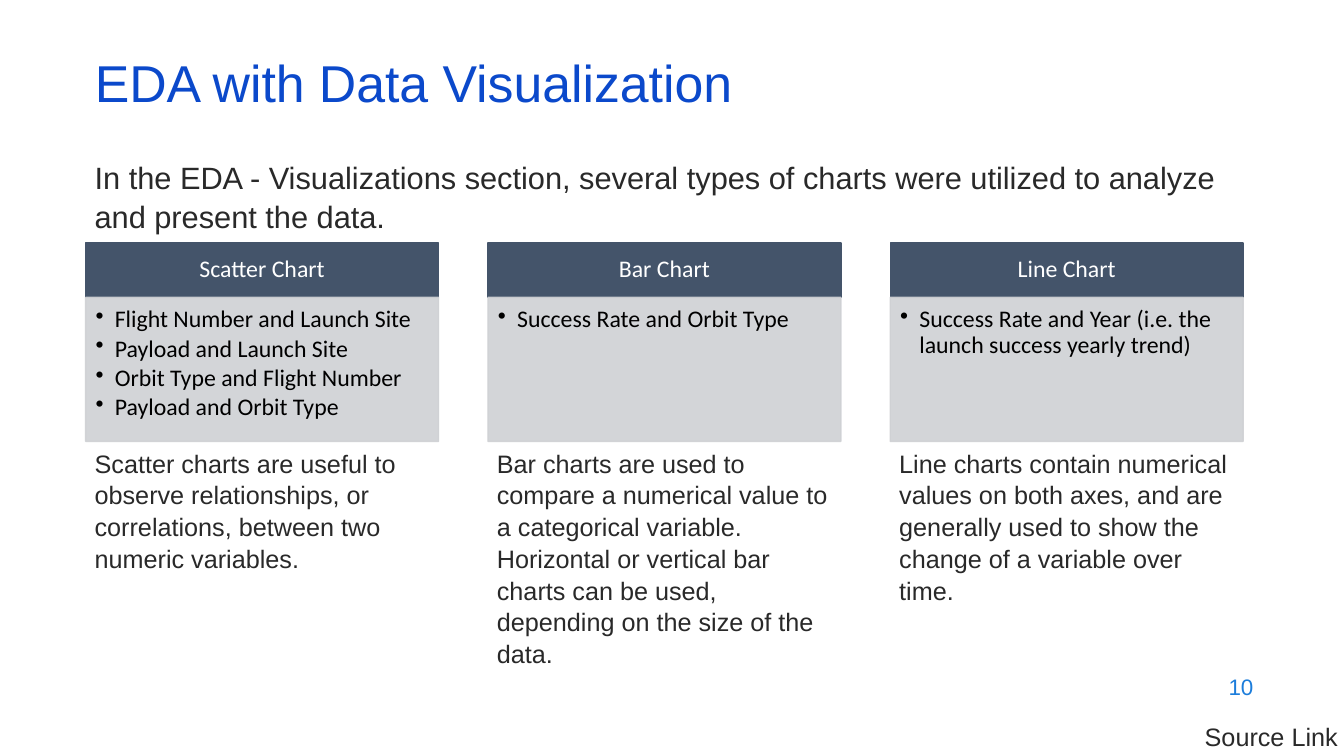
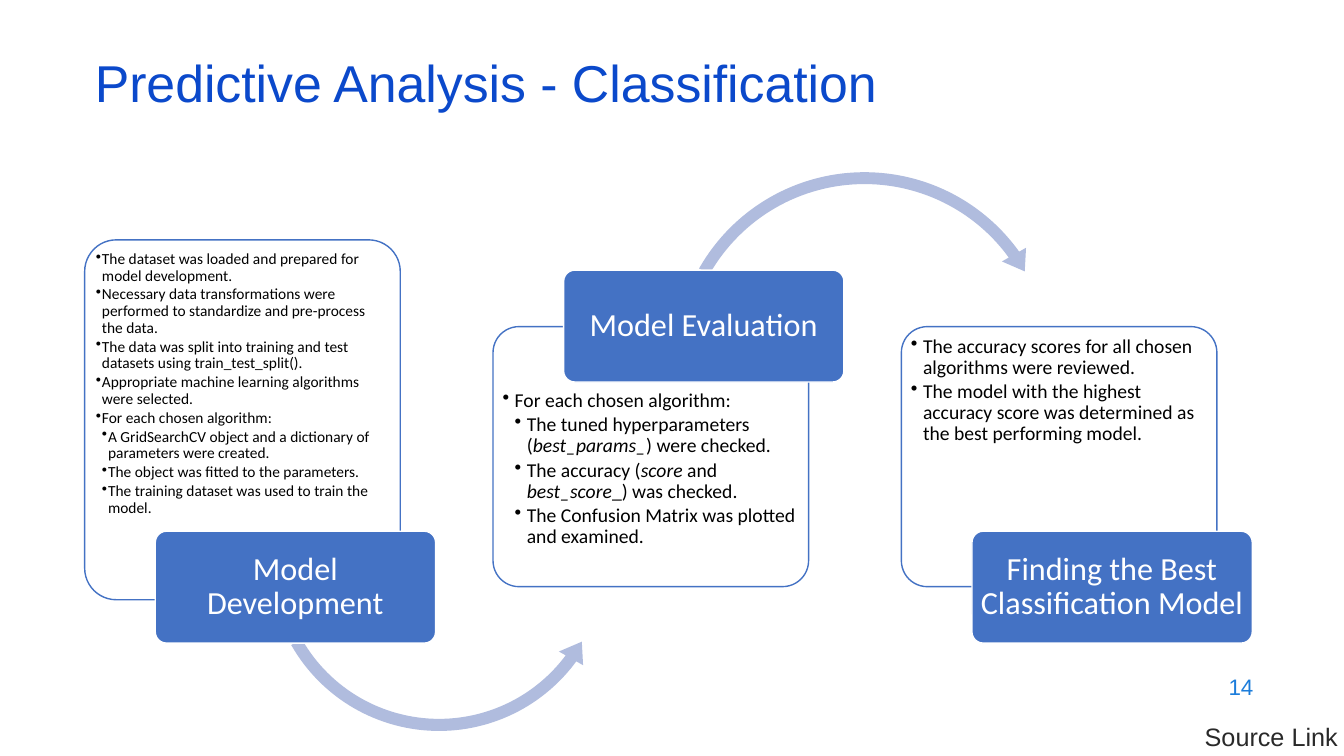
import pptx
import pptx.dml.color
import pptx.enum.shapes
import pptx.enum.text
import pptx.oxml.ns
import pptx.util
from lxml import etree

EMU_PER_PX = 9144
SLIDE_SIZE = (1333, 750)
SHAPES = pptx.enum.shapes.MSO_SHAPE
ALIGN = pptx.enum.text.PP_ALIGN
ANCHOR = pptx.enum.text.MSO_ANCHOR

TITLE_BLUE = "0B49CB"
NUMBER_BLUE = "1C7DDB"
INK = "292929"
BLACK = "000000"
WHITE = "FFFFFF"
SLATE = "44546A"
GREY = "CFD1D4"
BLUE = "4472C4"
PALE_BLUE = "B0BCDE"

HEADING_FONT = "Arial"
DIAGRAM_FONT = "Calibri"
TEXT_MARGINS = (10, 5, 10, 5)
BODY_SPACING = 1.05
DIAGRAM_SPACING = 0.9

CHART_TYPES = [
    ("Scatter Chart",
     ["Flight Number and Launch Site", "Payload and Launch Site",
      "Orbit Type and Flight Number", "Payload and Orbit Type"],
     "Scatter charts are useful to observe relationships, or correlations, "
     "between two numeric variables."),
    ("Bar Chart",
     ["Success Rate and Orbit Type"],
     "Bar charts are used to compare a numerical value to a categorical variable. "
     "Horizontal or vertical bar charts can be used, depending on the size of the data."),
    ("Line Chart",
     ["Success Rate and Year (i.e. the launch success yearly trend)"],
     "Line charts contain numerical values on both axes, and are generally used "
     "to show the change of a variable over time."),
]

# Each step: name, name top, panel top and height, text top margin, size, indent, bullets.
STEPS = [
    ("Model Development", 527, 238, 357, 2, 11, 6, [
        (1, "The dataset was loaded and prepared for model development."),
        (1, "Necessary data transformations were performed to standardize "
            "and pre-process the data."),
        (1, "The data was split into training and test datasets using train_test_split()."),
        (1, "Appropriate machine learning algorithms were selected."),
        (1, "For each chosen algorithm:"),
        (2, "A GridSearchCV object and a dictionary of parameters were created."),
        (2, "The object was fitted to the parameters."),
        (2, "The training dataset was used to train the model."),
    ]),
    ("Model Evaluation", 268, 324, 258, 56, 14, 12, [
        (1, "For each chosen algorithm:"),
        (2, "The tuned hyperparameters (*best_params_*) were checked."),
        (2, "The accuracy (*score* and *best_score*_) was checked."),
        (2, "The Confusion Matrix was plotted and examined."),
    ]),
    ("Finding the Best Classification Model", 527, 324, 258, 2, 14, 12, [
        (1, "The accuracy scores for all chosen algorithms were reviewed."),
        (1, "The model with the highest accuracy score was determined as "
            "the best performing model."),
    ]),
]

# Each arrow: shape, place, then thickness and head in percent, head, tip and tail in degrees.
ARROWS = [
    (SHAPES.LEFT_CIRCULAR_ARROW, (259, 380, 353, 353), 3.4, 3.9, 6.94, 36.46, 150.34),
    (SHAPES.CIRCULAR_ARROW, (661, 163, 393, 393), 3, 3.5, 6.19, 324.22, 209.59),
]


def px(length):
    return pptx.util.Emu(round(length * EMU_PER_PX))


def color(value):
    return pptx.dml.color.RGBColor.from_string(value)


def set_frame(frame, margins=TEXT_MARGINS, anchor=ANCHOR.TOP, wrap=True):
    frame.word_wrap = wrap
    frame.auto_size = pptx.enum.text.MSO_AUTO_SIZE.NONE
    frame.vertical_anchor = anchor
    (frame.margin_left, frame.margin_top,
     frame.margin_right, frame.margin_bottom) = map(px, margins)


def set_font(para, name, size, ink):
    para.font.name = name
    para.font.size = pptx.util.Pt(size)
    para.font.color.rgb = color(ink)


def write_line(frame, text, font, size, ink, align=ALIGN.LEFT, spacing=1.0):
    """Fill a frame with one evenly formatted paragraph."""
    para = frame.paragraphs[0]
    para.text = text
    para.alignment = align
    para.line_spacing = spacing
    set_font(para, font, size, ink)


def write_bullets(frame, items, size, indent):
    """Write (level, text) items; asterisks enclose italic words."""
    for index, (level, text) in enumerate(items):
        para = frame.add_paragraph() if index else frame.paragraphs[0]
        para.alignment = ALIGN.LEFT
        para.level = level - 1
        para.line_spacing = DIAGRAM_SPACING
        para.space_after = pptx.util.Pt(size * 0.15)
        properties = para._p.get_or_add_pPr()
        properties.set("marL", str(px(indent * level)))
        properties.set("indent", str(px(-indent)))
        bullet = etree.SubElement(properties, pptx.oxml.ns.qn("a:buChar"))
        bullet.set("char", "•")
        set_font(para, DIAGRAM_FONT, size, BLACK)
        for part, words in enumerate(text.split("*")):
            span = para.add_run()
            span.text = words
            if part % 2:
                span.font.italic = True


def add_text(page, at, text, size, ink=INK, align=ALIGN.LEFT, spacing=1.0,
             anchor=ANCHOR.TOP, wrap=True):
    box = page.shapes.add_textbox(*map(px, at))
    set_frame(box.text_frame, anchor=anchor, wrap=wrap)
    write_line(box.text_frame, text, HEADING_FONT, size, ink, align, spacing)


def set_opacity(paint, percent):
    """Make a solid fill partly transparent."""
    value = paint._xPr.find(".//" + pptx.oxml.ns.qn("a:srgbClr"))
    alpha = etree.SubElement(value, pptx.oxml.ns.qn("a:alpha"))
    alpha.set("val", str(percent * 1000))


def add_block(page, kind, at, fill, line=None):
    block = page.shapes.add_shape(kind, *map(px, at))
    block.shadow.inherit = False
    block.fill.solid()
    block.fill.fore_color.rgb = color(fill)
    if line:
        block.line.color.rgb = color(line)
        block.line.width = pptx.util.Pt(1)
    else:
        block.line.fill.background()
    return block


def add_rounded(page, at, fill, line):
    block = add_block(page, SHAPES.ROUNDED_RECTANGLE, at, fill, line)
    block.adjustments[0] = 0.1
    return block


def add_label(block, text, size, margins):
    set_frame(block.text_frame, margins, ANCHOR.MIDDLE)
    write_line(block.text_frame, text, DIAGRAM_FONT, size, WHITE,
               ALIGN.CENTER, DIAGRAM_SPACING)


def add_arc_arrow(page, kind, at, thickness, head, head_angle, tip, tail):
    arrow = add_block(page, kind, at, PALE_BLUE)
    angles = [angle * 0.6 for angle in (head_angle, tip, tail)]
    for index, value in enumerate([thickness / 100, *angles, head / 100]):
        arrow.adjustments[index] = value


def add_page(deck, title, number):
    page = deck.slides.add_slide(deck.slide_layouts[5])
    heading = page.shapes.title
    heading.left, heading.top, heading.width, heading.height = map(px, (84, 59, 1150, 60))
    set_frame(heading.text_frame, anchor=ANCHOR.MIDDLE)
    write_line(heading.text_frame, title, HEADING_FONT, 37, TITLE_BLUE, spacing=0.7)
    add_text(page, (953, 659, 300, 44), str(number), 16, NUMBER_BLUE,
             ALIGN.RIGHT, anchor=ANCHOR.MIDDLE)
    add_text(page, (1185, 711, 149, 40), "Source Link", 18, wrap=False)
    return page


def add_chart_type(page, left, name, uses, description):
    header = add_block(page, SHAPES.RECTANGLE, (left, 241, 350, 54), SLATE, SLATE)
    add_label(header, name, 17, (13, 8, 13, 8))
    panel = add_block(page, SHAPES.RECTANGLE, (left, 295, 350, 143), GREY, GREY)
    set_opacity(panel.fill, 90)
    set_opacity(panel.line.fill, 90)
    set_frame(panel.text_frame, (10, 10, 13, 15))
    write_bullets(panel.text_frame, [(1, use) for use in uses], 17, 19)
    add_text(page, (left - 1, 438, 352, 192), description, 18, spacing=BODY_SPACING)


def add_step_panel(page, left, top, height, text_top, size, indent, items):
    panel = add_rounded(page, (left, top, 313, height), WHITE, BLUE)
    set_frame(panel.text_frame, (2, text_top, 2, 2))
    write_bullets(panel.text_frame, items, size, indent)


def build_visualization(deck):
    page = add_page(deck, "EDA with Data Visualization", 10)
    add_text(page, (84, 151, 1150, 90),
             "In the EDA - Visualizations section, several types of charts were "
             "utilized to analyze and present the data.", 22, spacing=BODY_SPACING)
    for index, chart_type in enumerate(CHART_TYPES):
        add_chart_type(page, 85 + 399 * index, *chart_type)


def build_classification(deck):
    page = add_page(deck, "Predictive Analysis - Classification", 14)
    for index, (name, name_top, *panel) in enumerate(STEPS):
        left = 84 + 405 * index
        add_step_panel(page, left, *panel)
        if index < len(ARROWS):
            add_arc_arrow(page, *ARROWS[index])
        tag = add_rounded(page, (left + 70, name_top, 278, 111), BLUE, WHITE)
        add_label(tag, name, 23, (4, 3, 4, 3))


def main():
    deck = pptx.Presentation()
    deck.slide_width, deck.slide_height = map(px, SLIDE_SIZE)
    build_visualization(deck)
    build_classification(deck)
    deck.save("out.pptx")


if __name__ == "__main__":
    main()
